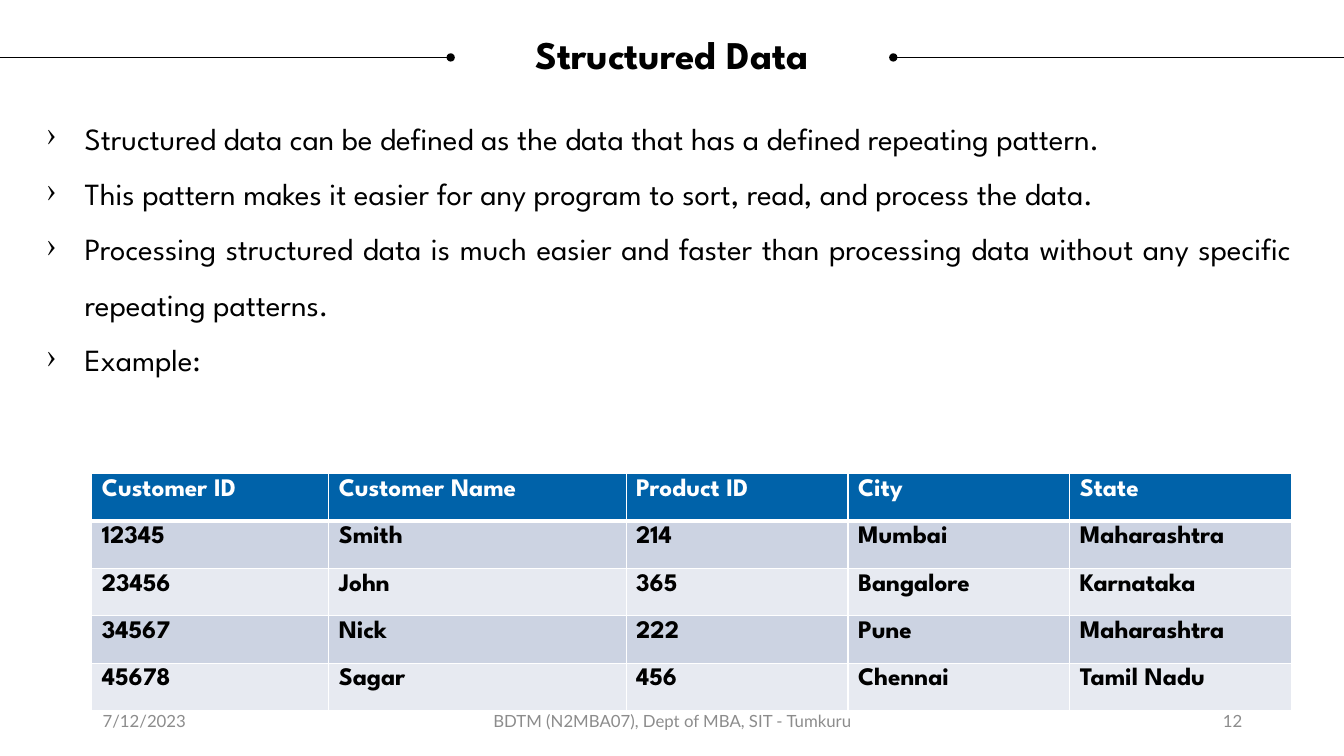
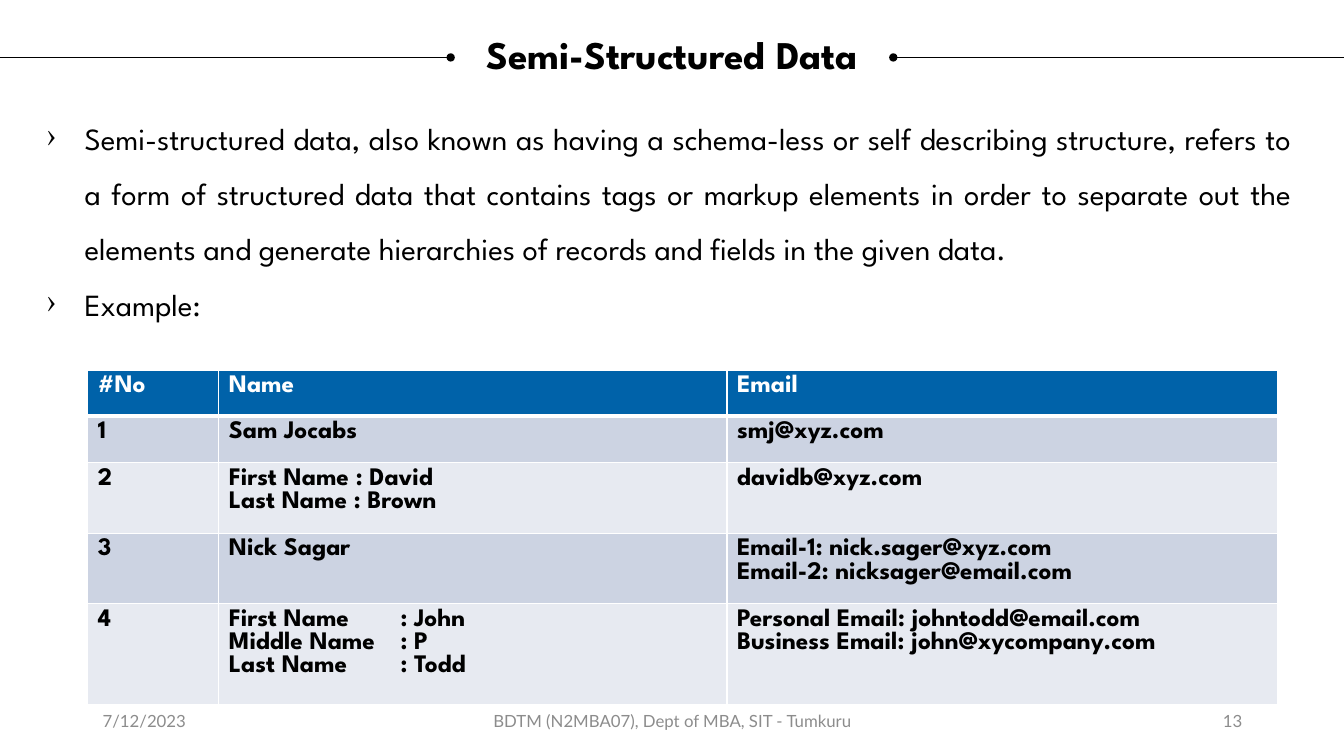
import pptx
import pptx.dml.color
import pptx.enum.shapes
import pptx.enum.text
import pptx.oxml
import pptx.oxml.ns
import pptx.util
from pptx.util import Inches

RGBColor = pptx.dml.color.RGBColor
BLACK = RGBColor(0x00, 0x00, 0x00)
WHITE = RGBColor(0xFF, 0xFF, 0xFF)
GREY = RGBColor(0x8C, 0x8C, 0x8C)
BLUE = RGBColor(0x00, 0x62, 0xA9)
BANDS = (RGBColor(0xE7, 0xEA, 0xF1), RGBColor(0xCC, 0xD3, 0xE2))

MAIN = "League Spartan"
SMALL = "Lato"
WIDE = 13.33
ALIGN = pptx.enum.text.PP_ALIGN

DATE = "7/12/2023"
COURSE = "BDTM (N2MBA07), Dept of MBA, SIT - Tumkuru"
TAB = 1.7

SLIDES = [
    {
        "title": "Structured Data",
        "number": 12,
        "points": [
            "Structured data can be defined as the data that has a defined repeating pattern.",
            "This pattern makes it easier for any program to sort, read, and process the data.",
            "Processing structured data is much easier and faster than processing data "
            "without any specific repeating patterns.",
            "Example:",
        ],
        "height": 3.26,
        "place": (0.91, 4.7),
        "cols": [2.35, 2.95, 2.2, 2.2, 2.2],
        "rows": [0.47] * 5,
        "cells": [
            ["Customer ID", "Customer Name", "Product ID", "City", "State"],
            ["12345", "Smith", "214", "Mumbai", "Maharashtra"],
            ["23456", "John", "365", "Bangalore", "Karnataka"],
            ["34567", "Nick", "222", "Pune", "Maharashtra"],
            ["45678", "Sagar", "456", "Chennai", "Tamil Nadu"],
        ],
    },
    {
        "title": "Semi-Structured Data",
        "number": 13,
        "points": [
            "Semi-structured data, also known as having a schema-less or self describing "
            "structure, refers to a form of structured data that contains tags or markup "
            "elements in order to separate out the elements and generate hierarchies of "
            "records and fields in the given data.",
            "Example:",
        ],
        "height": 2.71,
        "place": (0.87, 3.67),
        "cols": [1.3, 5.04, 5.46],
        "rows": [0.46, 0.46, 0.7, 0.7, 1],
        "cells": [
            ["#No", "Name", "Email"],
            ["1", "Sam Jocabs", "smj@xyz.com"],
            ["2", "First Name : David\nLast Name : Brown", "davidb@xyz.com"],
            ["3", "Nick Sagar",
             "Email-1: nick.sager@xyz.com\nEmail-2: nicksager@email.com"],
            ["4", "First Name\t: John\nMiddle Name\t: P\nLast Name\t: Todd",
             "Personal Email: johntodd@email.com\nBusiness Email: john@xycompany.com"],
        ],
    },
]


def node(tag, **attrs):
    item = pptx.oxml.parse_xml(f"<a:{tag} {pptx.oxml.ns.nsdecls('a')}/>")
    for name, value in attrs.items():
        item.set(name, str(value))
    return item


def style(frame, size, font, color, bold=False, align=None, gap=None):
    """Format every paragraph and run of a text frame alike."""
    for para in frame.paragraphs:
        para.alignment = align
        para.line_spacing = gap
        for run in para.runs:
            run.font.size = pptx.util.Pt(size)
            run.font.name = font
            run.font.bold = bold
            run.font.color.rgb = color


def add_text(slide, text, box, flush=False):
    """Add a wrapping text box; a flush one has no margins and grows."""
    frame = slide.shapes.add_textbox(*map(Inches, box)).text_frame
    frame.word_wrap = True
    if flush:
        frame.margin_left = frame.margin_right = 0
        frame.margin_top = frame.margin_bottom = 0
        frame.auto_size = pptx.enum.text.MSO_AUTO_SIZE.SHAPE_TO_FIT_TEXT
    else:
        frame.vertical_anchor = pptx.enum.text.MSO_ANCHOR.MIDDLE
    frame.text = text
    return frame


def add_rule(slide, dot, edge):
    """Draw a title rule from its dot to the slide's edge."""
    kind = pptx.enum.shapes.MSO_CONNECTOR.STRAIGHT
    y = Inches(0.57)
    rule = slide.shapes.add_connector(kind, Inches(dot), y, Inches(edge), y)
    rule.line.color.rgb = BLACK
    rule.line.width = pptx.util.Pt(0.5)
    props = rule.element.spPr
    props.find(pptx.oxml.ns.qn("a:ln")).append(node("headEnd", type="oval"))
    props.append(node("effectLst"))


def add_title(slide, title):
    for dot, edge in ((4.47, 0), (WIDE - 4.47, WIDE)):
        add_rule(slide, dot, edge)
    frame = add_text(slide, title, (0.25, 0.35, 12.83, 0.42), flush=True)
    style(frame, 28, MAIN, BLACK, True, ALIGN.CENTER, 0.9)


def add_points(slide, points, height):
    frame = add_text(slide, "\n".join(points), (0.46, 1, 12.35, height), flush=True)
    style(frame, 22, MAIN, BLACK, align=ALIGN.JUSTIFY, gap=1.5)
    for para in frame.paragraphs:
        props = para._p.get_or_add_pPr()
        props.set("marL", str(Inches(0.38)))
        props.set("indent", str(-Inches(0.38)))
        props.append(node("buChar", char="›"))


def set_tabs(frame):
    """Give each paragraph that holds a tab its tab stop."""
    for para in frame.paragraphs:
        if "\t" in para.text:
            stops = node("tabLst")
            stops.append(node("tab", pos=Inches(TAB), algn="l"))
            para._p.get_or_add_pPr().append(stops)


def set_edges(cell, base):
    """Border a cell in white, with the given width below it."""
    props = cell._tc.get_or_add_tcPr()
    for i, (side, width) in enumerate((("L", 1), ("R", 1), ("T", 1), ("B", base))):
        line = node(f"ln{side}", w=pptx.util.Pt(width))
        fill = node("solidFill")
        fill.append(node("srgbClr", val=WHITE))
        line.append(fill)
        props.insert(i, line)


def add_grid(slide, place, cols, rows, cells):
    box = (*place, sum(cols), sum(rows))
    grid = slide.shapes.add_table(len(rows), len(cols), *map(Inches, box)).table
    grid.horz_banding = False
    for col, width in zip(grid.columns, cols):
        col.width = Inches(width)
    for r, (height, texts) in enumerate(zip(rows, cells)):
        grid.rows[r].height = Inches(height)
        head = r == 0
        for c, text in enumerate(texts):
            cell = grid.cell(r, c)
            cell.text_frame.text = text
            style(cell.text_frame, 18, MAIN, WHITE if head else BLACK, True)
            set_tabs(cell.text_frame)
            cell.fill.solid()
            cell.fill.fore_color.rgb = BLUE if head else BANDS[r % 2]
            set_edges(cell, 3 if head else 1)


def add_foot(slide, number):
    for text, left, width, align in (
        (DATE, 0.92, 3, ALIGN.LEFT),
        (COURSE, 4.42, 4.5, ALIGN.CENTER),
        (str(number), 9.42, 3, ALIGN.RIGHT),
    ):
        frame = add_text(slide, text, (left, 6.95, width, 0.4))
        style(frame, 12, SMALL, GREY, align=align)


def main():
    deck = pptx.Presentation()
    deck.slide_width = Inches(WIDE)
    deck.slide_height = Inches(7.5)
    for page in SLIDES:
        slide = deck.slides.add_slide(deck.slide_layouts[6])
        add_title(slide, page["title"])
        add_points(slide, page["points"], page["height"])
        add_grid(slide, page["place"], page["cols"], page["rows"], page["cells"])
        add_foot(slide, page["number"])
    deck.save("out.pptx")


if __name__ == "__main__":
    main()
